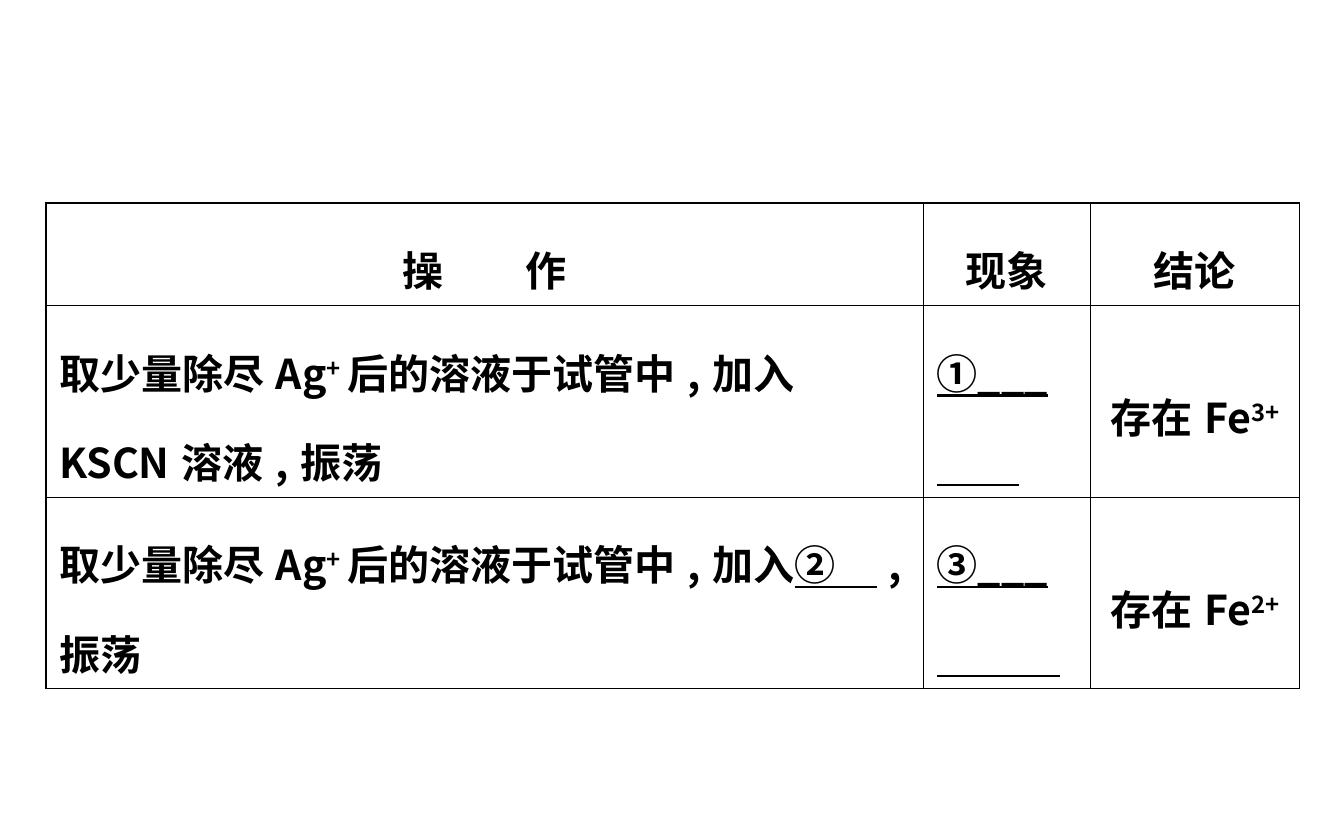
from lxml import etree
from pptx import Presentation
from pptx import util as u
from pptx.dml.color import RGBColor
from pptx.enum import text
from pptx.oxml.ns import qn

BLACK = RGBColor(0x00, 0x00, 0x00)
FONT = "Noto Sans CJK SC"
SIZE = 22
THIN, THICK = 0.45, 0.96
COLUMNS = (470.2, 89.3, 112.3)
ROWS = (47.5, 86.4, 86.4)

SAMPLE = [("取少量除尽Ag", {}), ("+", {"sup": True})]
# Each cell is a list of runs: text and format
CELLS = [
    [[("操　　作", {})], [("现象", {})], [("结论", {})]],
    [SAMPLE + [("后的溶液于试管中,加入KSCN溶液,振荡", {})],
     [("①___　　", {"underline": True})],
     [("存在Fe", {}), ("3+", {"sup": True})]],
    [SAMPLE + [("后的溶液于试管中,加入", {}), ("②　", {"underline": True}), (",振荡", {})],
     [("③___　　　", {"underline": True})],
     [("存在Fe", {}), ("2+", {"sup": True})]],
]


def add_run(p, words, sup=False, underline=False):
    r = p.add_run()
    r.text = words
    r.font.size = u.Pt(SIZE)
    r.font.bold = True
    r.font.underline = underline
    r.font.name = FONT
    r.font.color.rgb = BLACK
    rpr = r.font._element
    if sup:
        rpr.set("baseline", "30000")
    # East Asian typeface follows the Latin one
    ea = etree.Element(qn("a:ea"), typeface=FONT)
    rpr.find(qn("a:latin")).addnext(ea)


def set_borders(cell, widths):
    tcpr = cell._tc.get_or_add_tcPr()
    for i, (side, width) in enumerate(widths.items()):
        ln = etree.Element(qn("a:" + side), w=str(int(u.Pt(width))))
        fill = etree.SubElement(ln, qn("a:solidFill"))
        etree.SubElement(fill, qn("a:srgbClr"), val=str(BLACK))
        tcpr.insert(i, ln)


def fill_cell(cell, runs, align):
    cell.fill.background()
    cell.vertical_anchor = text.MSO_ANCHOR.MIDDLE
    cell.margin_left = cell.margin_right = u.Pt(7.2)
    cell.margin_top = cell.margin_bottom = u.Pt(3.6)
    p = cell.text_frame.paragraphs[0]
    p.alignment = align
    p.line_spacing = 1.5
    for words, style in runs:
        add_run(p, words, **style)


def add_test_table(s, left, top):
    frame = s.shapes.add_table(len(ROWS), len(COLUMNS), u.Pt(left), u.Pt(top),
                               u.Pt(sum(COLUMNS)), u.Pt(sum(ROWS)))
    table = frame.table
    table.first_row = table.horz_banding = False
    for column, width in zip(table.columns, COLUMNS):
        column.width = u.Pt(width)
    for row, height in zip(table.rows, ROWS):
        row.height = u.Pt(height)

    last_row, last_col = len(ROWS) - 1, len(COLUMNS) - 1
    for i, row in enumerate(CELLS):
        for j, runs in enumerate(row):
            centred = i == 0 or j == last_col
            align = text.PP_ALIGN.CENTER if centred else text.PP_ALIGN.LEFT
            fill_cell(table.cell(i, j), runs, align)
            # Outer edges are thicker than inner ones
            outer = {"lnL": j == 0, "lnR": j == last_col,
                     "lnT": i == 0, "lnB": i == last_row}
            set_borders(table.cell(i, j),
                        {side: THICK if edge else THIN for side, edge in outer.items()})


def main():
    prs = Presentation()
    prs.slide_width, prs.slide_height = u.Pt(720), u.Pt(450)
    s = prs.slides.add_slide(prs.slide_layouts[6])
    # Table of ion tests
    add_test_table(s, 24.5, 108.7)
    prs.save("out.pptx")


if __name__ == "__main__":
    main()
